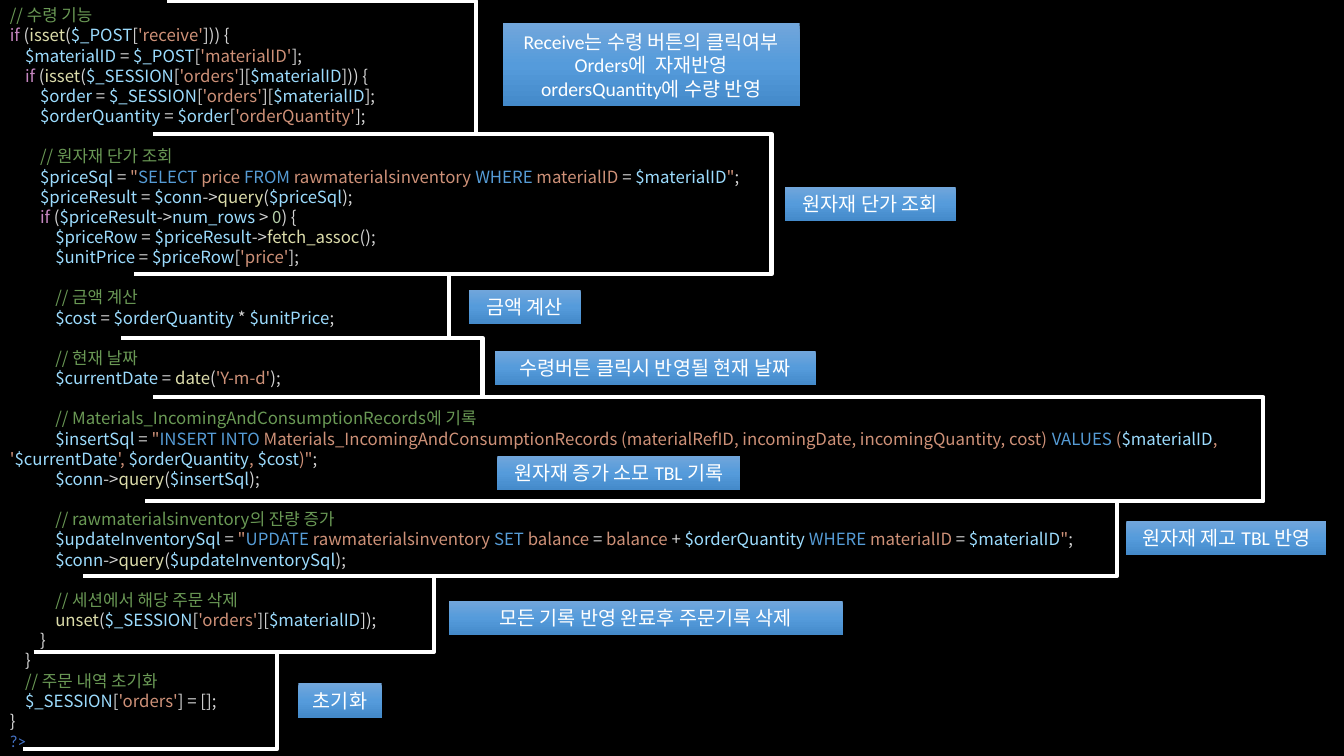
from copy import deepcopy

from lxml.etree import SubElement
from pptx import Presentation
from pptx.dml.color import RGBColor
from pptx.enum.shapes import MSO_SHAPE
from pptx.enum.text import MSO_ANCHOR, PP_ALIGN
from pptx.oxml.ns import qn
from pptx.util import Inches, Pt

# Code blocks: (indent level, spans split by "|"), each span led by its colour key
CODE_BLOCKS = [
    [
        (0, "C// 수령 기능"),
        (0, "Kif|D (|Fisset|D(|V$_POST|D[|S'receive'|D])) {"),
        (1, "V$materialID|D = |V$_POST|D[|S'materialID'|D];"),
        (1, "Kif|D (|Fisset|D(|V$_SESSION|D[|S'orders'|D][|V$materialID|D])) {"),
        (2, "V$order|D = |V$_SESSION|D[|S'orders'|D][|V$materialID|D];"),
        (2, "V$orderQuantity|D = |V$order|D[|S'orderQuantity'|D];"),
    ],
    [
        (2, "C// 원자재 단가 조회"),
        (2, 'V$priceSql|D = |S"|QSELECT|S price |QFROM |Srawmaterialsinventory |QWHERE '
            '|SmaterialID |D= |V$materialID|S"|D;'),
        (2, "V$priceResult|D = |V$conn|D->|Fquery|D(|V$priceSql|D);"),
        (2, "Kif|D (|V$priceResult|D->|Vnum_rows|D > |N0|D) {"),
        (3, "V$priceRow|D = |V$priceResult|D->|Ffetch_assoc|D();"),
        (3, "V$unitPrice|D = |V$priceRow|D[|S'price'|D];"),
    ],
    [
        (3, "C// 금액 계산"),
        (3, "V$cost|D = |V$orderQuantity|D * |V$unitPrice|D;"),
    ],
    [
        (3, "C// 현재 날짜"),
        (3, "V$currentDate|D = |Fdate|D(|S'Y-m-d'|D);"),
    ],
    [
        (3, "C// Materials_IncomingAndConsumptionRecords에 기록"),
        (3, 'V$insertSql|D = |S"|QINSERT INTO |SMaterials_IncomingAndConsumptionRecords '
            "(materialRefID, incomingDate, incomingQuantity, cost) |QVALUES|S (|V$materialID"
            "|S, '|V$currentDate|S', |V$orderQuantity|S, |V$cost|S)\"|D;"),
        (3, "V$conn|D->|Fquery|D(|V$insertSql|D);"),
    ],
    [
        (3, "C// rawmaterialsinventory의 잔량 증가"),
        (3, 'V$updateInventorySql|D = |S"|QUPDATE |Srawmaterialsinventory |QSET|S balance '
            '|D=|S balance |D+ |V$orderQuantity |QWHERE |SmaterialID |D= |V$materialID|S"|D;'),
        (3, "V$conn|D->|Fquery|D(|V$updateInventorySql|D);"),
    ],
    [
        (3, "C// 세션에서 해당 주문 삭제"),
        (3, "Funset|D(|V$_SESSION|D[|S'orders'|D][|V$materialID|D]);"),
        (2, "D}"),
        (1, "D}"),
        (1, "C// 주문 내역 초기화"),
        (1, "V$_SESSION|D[|S'orders'|D] = [];"),
        (0, "D}"),
        (0, "T?>"),
    ],
]

# Labels: left, top and width in percent of the slide, then the text
LABELS = [
    (37.4, 3.1, 22.1, "Receive는 수령 버튼의 클릭여부\nOrders에  자재반영\nordersQuantity에 수량 반영"),
    (58.4, 24.7, 12.7, "원자재 단가 조회"),
    (34.9, 38.3, 8.3, "금액 계산"),
    (36.8, 46.4, 23.9, "수령버튼 클릭시 반영될 현재 날짜"),
    (37.0, 60.3, 18.1, "원자재 증가 소모 TBL 기록"),
    (83.8, 68.9, 14.9, "원자재 제고 TBL 반영"),
    (33.4, 79.5, 29.3, "모든 기록 반영 완료후 주문기록 삭제"),
    (22.2, 90.4, 6.2, "초기화"),
]

# Brackets: top-left, right, bottom-left and bottom in percent; each starts where the last ends
BRACKET_TOP = 0.1
BRACKETS = [
    (12.4, 35.4, 11.4, 17.7),
    (14.3, 57.4, 12.5, 36.3),
    (10.0, 33.4, 9.0, 44.7),
    (12.4, 35.9, 11.4, 52.5),
    (15.8, 94.0, 12.5, 66.3),
    (10.8, 83.1, 7.7, 76.2),
    (6.2, 32.3, 5.1, 86.2),
    (2.5, 20.6, 1.7, 99.1),
]

WHITE = RGBColor(0xFF, 0xFF, 0xFF)
BLACK = RGBColor(0x00, 0x00, 0x00)
SYNTAX = {
    "C": RGBColor(0x6A, 0x99, 0x55),  # comment
    "K": RGBColor(0xC5, 0x86, 0xC0),  # keyword
    "D": RGBColor(0xD4, 0xD4, 0xD4),  # punctuation
    "F": RGBColor(0xDC, 0xDC, 0xAA),  # function
    "V": RGBColor(0x9C, 0xDC, 0xFE),  # variable
    "S": RGBColor(0xCE, 0x91, 0x78),  # string
    "Q": RGBColor(0x56, 0x9C, 0xD6),  # SQL word
    "N": RGBColor(0xB5, 0xCE, 0xA8),  # number
    "T": RGBColor(0x44, 0x72, 0xC4),  # closing tag
}
LABEL_GRADIENT = [
    (0, RGBColor(0x71, 0xA6, 0xDB)),
    (0.5, RGBColor(0x55, 0x9B, 0xDB)),
    (1, RGBColor(0x44, 0x8A, 0xCA)),
]
CODE_FONT, LABEL_FONT = "Noto Sans CJK KR", "Calibri"
CODE_LINE = Pt(14.4)
INDENT = Inches(0.15)
LABEL_LINE, LABEL_PADDING = Inches(0.24), Inches(0.1)

deck = Presentation()
deck.slide_width, deck.slide_height = Inches(13.33), Inches(7.5)
page = deck.slides.add_slide(deck.slide_layouts[6])


def across(percent):
    return round(deck.slide_width * percent / 100)


def down(percent):
    return round(deck.slide_height * percent / 100)


def add_box(left, top, width, height):
    box = page.shapes.add_shape(MSO_SHAPE.RECTANGLE, left, top, width, height)
    box.shadow.inherit = False
    box.line.fill.background()
    return box


def add_code():
    box = add_box(0, 0, deck.slide_width, down(101))
    box.fill.solid()
    box.fill.fore_color.rgb = BLACK
    frame = box.text_frame
    frame.word_wrap = True
    frame.vertical_anchor = MSO_ANCHOR.TOP
    para = frame.paragraphs[0]
    for block_number, block in enumerate(CODE_BLOCKS):
        for line_number, (level, markup) in enumerate(block):
            if block_number or line_number:
                para = frame.add_paragraph()
            para.alignment = PP_ALIGN.LEFT
            para.line_spacing = CODE_LINE
            para.space_before = CODE_LINE if block_number and not line_number else Pt(0)
            properties = para._p.get_or_add_pPr()
            properties.set("marL", "0")
            properties.set("indent", str(level * INDENT))
            for part in markup.split("|"):
                span = para.add_run()
                span.text = part[1:]
                span.font.size = Pt(12)
                span.font.name = LABEL_FONT if part[0] == "T" else CODE_FONT
                span.font.color.rgb = SYNTAX[part[0]]
                east_asian = SubElement(span._r.get_or_add_rPr(), qn("a:ea"))
                east_asian.set("typeface", CODE_FONT)


def add_bracket(top_left, right, bottom_left, top, bottom):
    builder = page.shapes.build_freeform(across(top_left), down(top))
    corners = [(right, top), (right, bottom), (bottom_left, bottom)]
    builder.add_line_segments([(across(x), down(y)) for x, y in corners], close=False)
    bracket = builder.convert_to_shape()
    bracket.shadow.inherit = False
    bracket.fill.background()
    bracket.line.color.rgb = WHITE
    bracket.line.width = Pt(3)


def add_label(left, top, width, text):
    height = LABEL_PADDING + LABEL_LINE * len(text.split("\n"))
    box = add_box(across(left), down(top), across(width), height)
    # Three-stop gradient running downwards
    box.fill.gradient()
    box.fill.gradient_angle = 270
    stops = box._element.spPr.find(qn("a:gradFill")).find(qn("a:gsLst"))
    stops.append(deepcopy(stops[0]))
    for stop, (position, color) in zip(box.fill.gradient_stops, LABEL_GRADIENT):
        stop.position = position
        stop.color.rgb = color
    # Soft shadow below
    effects = box._element.spPr.find(qn("a:effectLst"))
    shadow = SubElement(effects, qn("a:outerShdw"), blurRad=str(Pt(4.5)),
                        dist=str(Pt(1.5)), dir="5400000", rotWithShape="0")
    shade = SubElement(shadow, qn("a:srgbClr"), val=str(BLACK))
    SubElement(shade, qn("a:alpha"), val="63000")
    frame = box.text_frame
    frame.text = text
    frame.word_wrap = False
    frame.vertical_anchor = MSO_ANCHOR.MIDDLE
    for para in frame.paragraphs:
        para.alignment = PP_ALIGN.CENTER
        para.font.size = Pt(14)
        for span in para.runs:
            span.font.size = Pt(14)
            span.font.name = LABEL_FONT
            span.font.color.rgb = WHITE


add_code()
bracket_top = BRACKET_TOP
for top_left, right, bottom_left, bottom in BRACKETS:
    add_bracket(top_left, right, bottom_left, bracket_top, bottom)
    bracket_top = bottom
for label in LABELS:
    add_label(*label)

deck.save("out.pptx")
